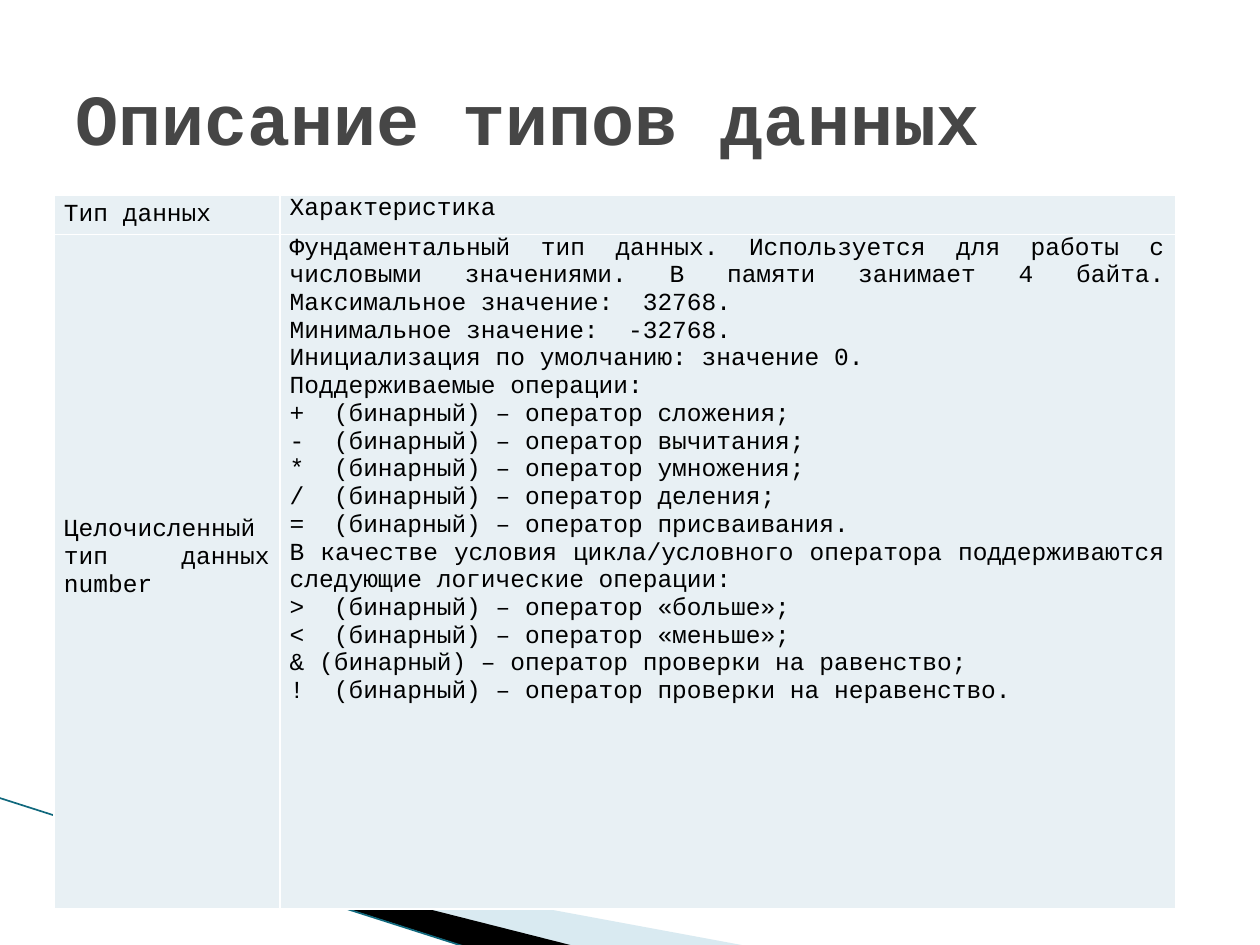
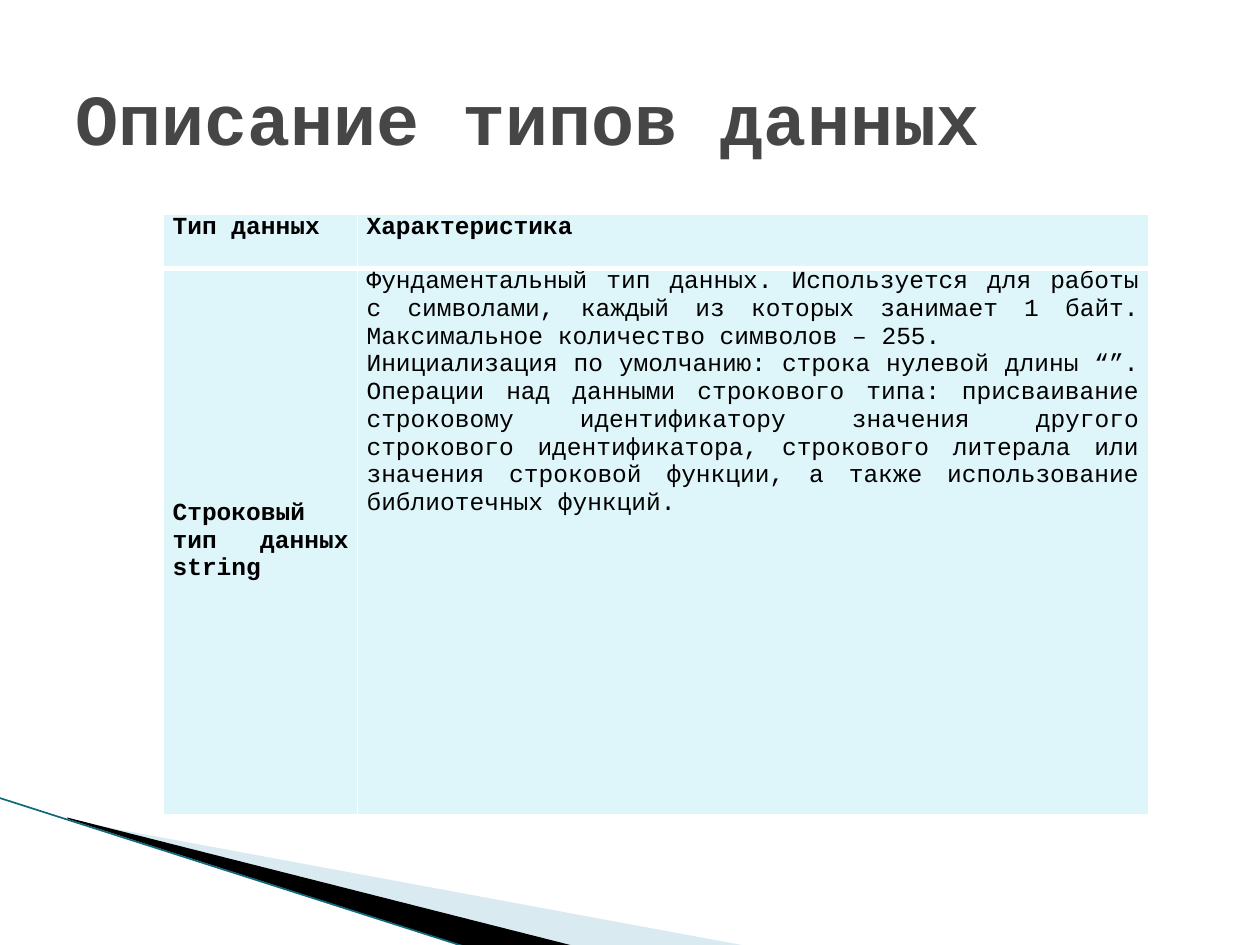
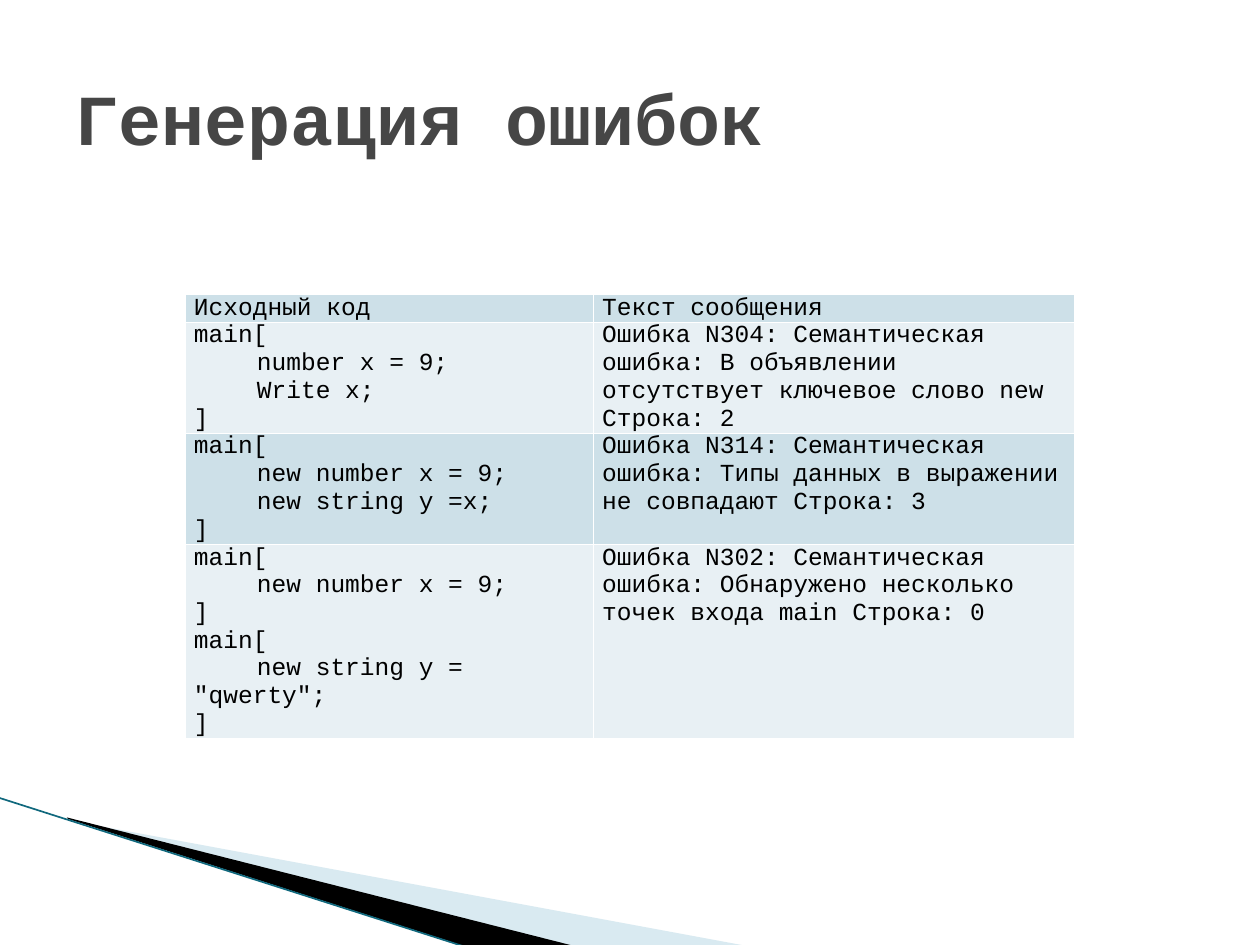
"""Build three slides on data types and error messages."""
from dataclasses import dataclass
from typing import NamedTuple

import lxml.etree
import pptx
import pptx.dml.color
import pptx.enum.shapes
import pptx.enum.text
import pptx.oxml.ns
import pptx.util

Cm = pptx.util.Cm
Pt = pptx.util.Pt
qn = pptx.oxml.ns.qn
ALIGN = pptx.enum.text.PP_ALIGN
ANCHOR = pptx.enum.text.MSO_ANCHOR

FONT = "Courier New"
COLORS = {
    "title": "464646",
    "text": "000000",
    "rule": "FFFFFF",
    "wedge": "A0CBDC",
    "blade": "000000",
    "edge": "10687D",
    "pale": "E8F0F4",
    "blue": "CDE0E8",
    "aqua": "DEF5FA",
}
LINE = 0.56  # height of one line of table text, cm


class Cell(NamedTuple):
    """Text of a table cell and how it is set."""
    text: str
    bold: bool = False
    just: bool = False
    mid: bool = False
    foot: float = 0


class Band(NamedTuple):
    """A filled corner band; points in cm, alpha in percent."""
    points: tuple[tuple[float, float], ...]
    color: str
    alpha: int = 100


@dataclass
class Grid:
    """A table; lengths in cm, fills repeat row by row."""
    left: float
    top: float
    cols: tuple[float, ...]
    rows: tuple[float, ...]
    cells: tuple[tuple[Cell, ...], ...]
    fills: tuple[str, ...]
    pad: float = 0.18
    split: float = 1  # line width under the first row, points


class Page(NamedTuple):
    """A title with its table."""
    title: str
    grid: Grid


BANDS = (
    Band(((1.4, 16.54), (15.11, 19.08), (11.58, 19.08), (1.4, 16.51)),
         "wedge", 40),
    Band(((1.35, 16.48), (11.61, 19.08), (9.45, 19.1), (1.37, 16.51)),
         "blade"),
)


def rgb(name: str) -> pptx.dml.color.RGBColor:
    """Return a named colour."""
    return pptx.dml.color.RGBColor.from_string(COLORS[name])


def style(frame, size: float, color: str, bold: bool) -> None:
    """Format every run of a text frame."""
    for para in frame.paragraphs:
        for run in para.runs:
            run.font.name = FONT
            run.font.size = Pt(size)
            run.font.bold = bold
            run.font.color.rgb = rgb(color)


def draw_band(slide, band: Band) -> None:
    """Draw one filled band."""
    start, *rest = [(Cm(x), Cm(y)) for x, y in band.points]
    pen = slide.shapes.build_freeform(*start)
    pen.add_line_segments(rest, close=True)
    shape = pen.convert_to_shape()
    shape.shadow.inherit = False
    shape.line.fill.background()
    shape.fill.solid()
    shape.fill.fore_color.rgb = rgb(band.color)
    if band.alpha < 100:
        tint = next(shape.element.spPr.iter(qn("a:srgbClr")))
        lxml.etree.SubElement(tint, qn("a:alpha"), val=str(band.alpha * 1000))


def draw_decor(slide) -> None:
    """Draw the corner bands and their edge line."""
    for band in BANDS:
        draw_band(slide, band)
    edge = slide.shapes.add_connector(
        pptx.enum.shapes.MSO_CONNECTOR.STRAIGHT,
        Cm(-0.03), Cm(16.08), Cm(9.42), Cm(19.1))
    edge.line.color.rgb = rgb("edge")
    edge.line.width = Pt(0.95)
    lxml.etree.SubElement(edge.element.spPr, qn("a:effectLst"))


def draw_title(slide, text: str) -> None:
    """Write the slide title."""
    box = slide.shapes.add_textbox(Cm(1.27), Cm(0.76), Cm(22.86), Cm(3.18))
    frame = box.text_frame
    frame.word_wrap = True
    frame.vertical_anchor = ANCHOR.MIDDLE
    frame.text = text
    style(frame, 41, "title", True)


def draw_rules(cell, top: float, base: float) -> None:
    """Set the four borders of a cell, widths in points."""
    props = cell._tc.get_or_add_tcPr()
    sides = {"a:lnL": 1, "a:lnR": 1, "a:lnT": top, "a:lnB": base}
    for spot, (tag, width) in enumerate(sides.items()):
        rule = lxml.etree.Element(qn(tag), w=str(Pt(width)))
        fill = lxml.etree.SubElement(rule, qn("a:solidFill"))
        lxml.etree.SubElement(fill, qn("a:srgbClr"), val=COLORS["rule"])
        props.insert(spot, rule)


def fill_cell(cell, data: Cell, color: str, pad: float) -> None:
    """Write and format one table cell."""
    cell.fill.solid()
    cell.fill.fore_color.rgb = rgb(color)
    cell.margin_left = cell.margin_right = Cm(pad)
    cell.margin_top = Cm(0)
    cell.margin_bottom = Cm(data.foot)
    cell.vertical_anchor = ANCHOR.MIDDLE if data.mid else ANCHOR.TOP
    cell.text_frame.text = data.text
    for para in cell.text_frame.paragraphs:
        para.alignment = ALIGN.JUSTIFY if data.just else ALIGN.LEFT
    style(cell.text_frame, 14, "text", data.bold)


def draw_grid(slide, grid: Grid) -> None:
    """Draw a table."""
    table = slide.shapes.add_table(
        len(grid.rows), len(grid.cols), Cm(grid.left), Cm(grid.top),
        Cm(sum(grid.cols)), Cm(sum(grid.rows))).table
    table.first_row = table.horz_banding = False
    for col, width in zip(table.columns, grid.cols):
        col.width = Cm(width)
    for r, (row, height) in enumerate(zip(table.rows, grid.rows)):
        row.height = Cm(height)
        color = grid.fills[r % len(grid.fills)]
        for cell, data in zip(row.cells, grid.cells[r]):
            fill_cell(cell, data, color, grid.pad)
            draw_rules(cell, grid.split if r == 1 else 1,
                       grid.split if r == 0 else 1)


NUMBER = """\
Фундаментальный тип данных. Используется для работы с числовыми значениями. \
В памяти занимает 4 байта. Максимальное значение:  32768.
Минимальное значение:  -32768.
Инициализация по умолчанию: значение 0.
Поддерживаемые операции:
+  (бинарный) – оператор сложения;
-  (бинарный) – оператор вычитания;
*  (бинарный) – оператор умножения;
/  (бинарный) – оператор деления;
=  (бинарный) – оператор присваивания.
В качестве условия цикла/условного оператора поддерживаются следующие \
логические операции:
>  (бинарный) – оператор «больше»;
<  (бинарный) – оператор «меньше»;
& (бинарный) – оператор проверки на равенство;
!  (бинарный) – оператор проверки на неравенство."""

STRING = """\
Фундаментальный тип данных. Используется для работы с символами, каждый из \
которых занимает 1 байт. Максимальное количество символов – 255.
Инициализация по умолчанию: строка нулевой длины “”.\v\
Операции над данными строкового типа: присваивание строковому идентификатору \
значения другого строкового идентификатора, строкового литерала или значения \
строковой функции, а также использование библиотечных функций."""

ERRORS = (
    ("main[\n\tnumber x = 9;\n\tWrite x;\n]",
     "N304", "В объявлении отсутствует ключевое слово new Строка: 2"),
    ("main[\n\tnew number x = 9;\n\tnew string y =x;\n]",
     "N314", "Типы данных в выражении не совпадают Строка: 3"),
    ("main[\n\tnew number x = 9;\n]\nmain[\n\tnew string y = \"qwerty\";\n]",
     "N302", "Обнаружено несколько точек входа main Строка: 0"),
)

TYPES = "Описание типов данных"
KIND, TRAIT = "Тип данных", "Характеристика"

PAGES = (
    Page(TYPES, Grid(
        1.09, 3.94, (4.55, 18.06), (0.79, 13.59),
        ((Cell(KIND, mid=True), Cell(TRAIT, just=True)),
         (Cell("Целочисленный тип данных number", just=True, mid=True,
               foot=LINE),
          Cell(NUMBER, just=True))),
        ("pale",), pad=0.2)),
    Page(TYPES, Grid(
        3.3, 4.32, (3.91, 15.95), (1.09, 11.02),
        ((Cell(KIND, bold=True), Cell(TRAIT, bold=True)),
         (Cell("Строковый тип данных string", bold=True, just=True, mid=True),
          Cell(STRING, just=True))),
        ("aqua",), split=3)),
    Page("Генерация ошибок", Grid(
        3.73, 5.94, (8.23, 9.7), tuple(LINE * n for n in (1, 4, 4, 7)),
        ((Cell("Исходный код"), Cell("Текст сообщения")),
         *((Cell(code), Cell(f"Ошибка {mark}: Семантическая ошибка: {note}"))
           for code, mark, note in ERRORS)),
        ("blue", "pale"))),
)


def main() -> None:
    """Build and save the slides."""
    deck = pptx.Presentation()
    deck.slide_width, deck.slide_height = Cm(25.4), Cm(19.05)
    for page in PAGES:
        slide = deck.slides.add_slide(deck.slide_layouts[6])
        draw_decor(slide)
        draw_grid(slide, page.grid)
        draw_title(slide, page.title)
    deck.save("out.pptx")


main()
